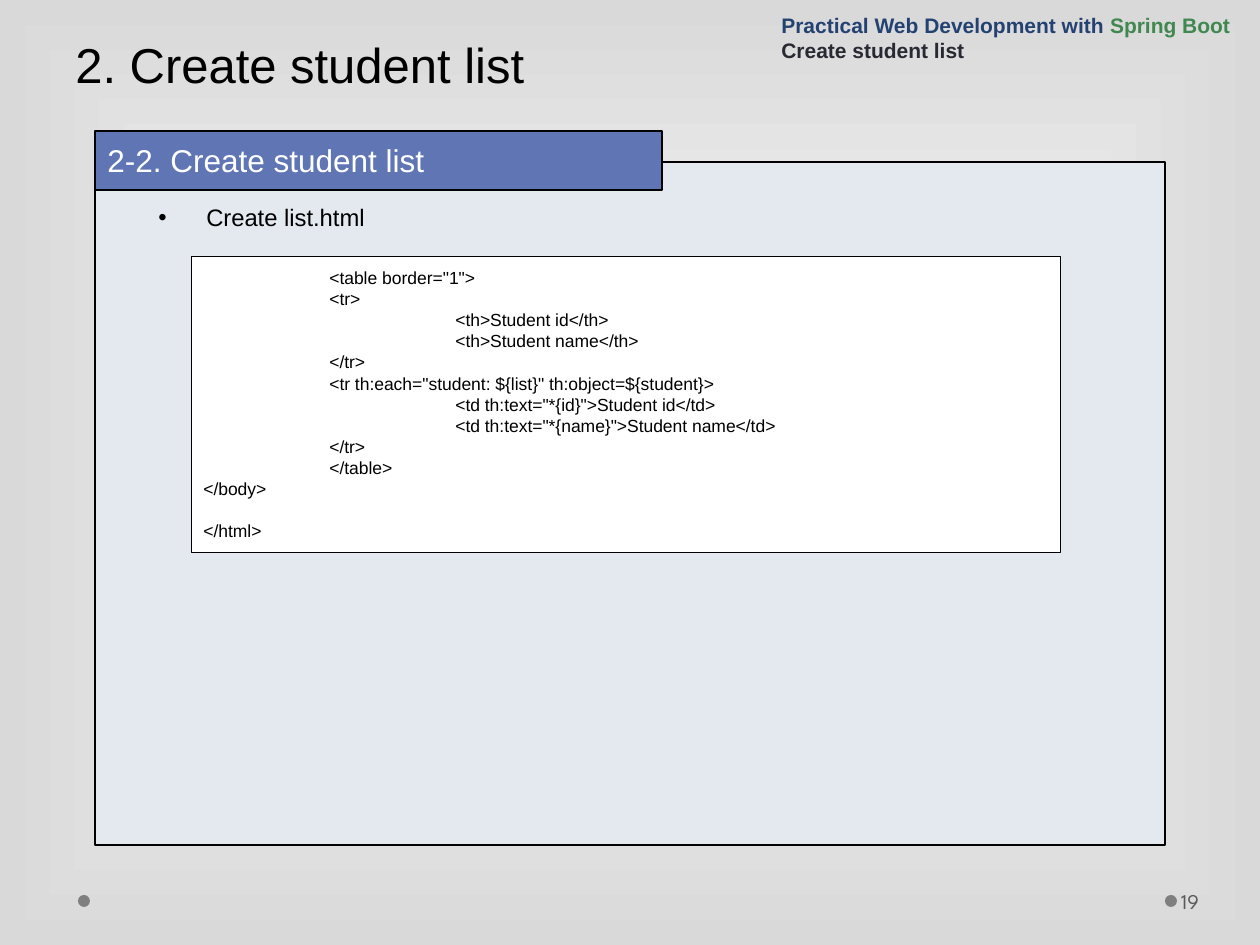
import lxml.etree
import pptx
import pptx.dml.color
import pptx.enum.shapes
import pptx.enum.text
import pptx.oxml.ns
import pptx.util

SCALE = 914400 / 126  # EMU per px
ANCHOR = pptx.enum.text.MSO_ANCHOR
SHAPE = pptx.enum.shapes.MSO_SHAPE
qn = pptx.oxml.ns.qn
rgb = pptx.dml.color.RGBColor.from_string
Pt = pptx.util.Pt

presentation = pptx.Presentation()
presentation.slide_width = round(1260 * SCALE)
presentation.slide_height = round(945 * SCALE)
slide = presentation.slides.add_slide(presentation.slide_layouts[6])


def add_box(box, fill=None, line_width=None, kind=SHAPE.RECTANGLE):
    """Add a shape, or a text box when there is no fill; box is left, top, width, height in px."""
    place = [round(length * SCALE) for length in box]
    if fill is None:
        shape = slide.shapes.add_textbox(*place)
    else:
        shape = slide.shapes.add_shape(kind, *place)
        shape.shadow.inherit = False
        shape.fill.solid()
        shape.fill.fore_color.rgb = rgb(fill)
        if line_width is None:
            shape.line.fill.background()
        else:
            shape.line.color.rgb = rgb("000000")
            shape.line.width = Pt(line_width)
    shape.text_frame.word_wrap = True
    return shape


def write(shape, text, size, color="000000", anchor=ANCHOR.TOP, font="Arial", bold=False):
    """Fill a shape with left-aligned text, one paragraph per line, and return the paragraphs."""
    frame = shape.text_frame
    frame.text = text
    frame.vertical_anchor = anchor
    for paragraph in frame.paragraphs:
        paragraph.alignment = pptx.enum.text.PP_ALIGN.LEFT
        for run in paragraph.runs:
            run.font.name = font
            run.font.size = Pt(size)
            run.font.bold = bold
            run.font.color.rgb = rgb(color)
    return frame.paragraphs


# Background: gradient spreading from the centre
background = slide.background.fill
background.gradient()
for stop, position, color in zip(background.gradient_stops, (0, 1), ("FFFFFF", "D9D9D9")):
    stop.position = position
    stop.color.rgb = rgb(color)
gradient = next(slide.element.iter(qn("a:gradFill")))
gradient.remove(gradient.find(qn("a:lin")))
spread = lxml.etree.SubElement(gradient, qn("a:path"), path="rect")
lxml.etree.SubElement(spread, qn("a:fillToRect"), l="50000", t="50000", r="50000", b="50000")

# Footer dots and page number
for left in (1165, 78):
    add_box((left, 895, 12, 12), "7F7F7F", kind=SHAPE.OVAL)
page_number = add_box((1177, 876, 77, 50))
page_number.text_frame.margin_left = round(4 * SCALE)
write(page_number, "19", 12, "595959", ANCHOR.MIDDLE, "League Spartan")

# Content panel
add_box((95, 162, 1070, 683), "E4E9EF", 0.75)

# Title
title = write(add_box((63, 0, 1134, 100)), "2. Create student list", 28, anchor=ANCHOR.BOTTOM)[0]
title.line_spacing = Pt(58)

# Section heading
section = write(add_box((95, 131, 567, 59), "6076B4", 0.75), "2-2. Create student list", 18, "FFFFFF")[0]
section.line_spacing = 1.1
section.space_before = Pt(4.5)

# Bullet
bullet = write(add_box((146, 200, 931, 44)), "Create list.html", 13.6)[0]
bullet.line_spacing = 0.9
bullet.space_before = Pt(4)
properties = bullet._p.get_or_add_pPr()
indent = round(48 * SCALE)
properties.set("marL", str(indent))
properties.set("indent", str(-indent))
bullet_color = lxml.etree.SubElement(properties, qn("a:buClr"))
lxml.etree.SubElement(bullet_color, qn("a:srgbClr"), val="000000")
lxml.etree.SubElement(properties, qn("a:buFont"), typeface="Arial")
lxml.etree.SubElement(properties, qn("a:buChar"), char="•")

# Course header
header = write(
    add_box((769, 0, 491, 69)),
    "Practical Web Development with \nCreate student list",
    12, "292934", ANCHOR.BOTTOM, bold=True,
)
header[0].runs[0].font.color.rgb = rgb("234271")
framework = header[0].add_run()
framework.text = "Spring Boot"
framework.font.name = "Arial"
framework.font.size = Pt(12)
framework.font.bold = True
framework.font.color.rgb = rgb("40884F")

# Code listing: indent level and text of each line
code_lines = [
    (1, '<table border="1">'),
    (1, "<tr>"),
    (2, "<th>Student id</th>"),
    (2, "<th>Student name</th>"),
    (1, "</tr>"),
    (1, '<tr th:each="student: ${list}" th:object=${student}>'),
    (2, '<td th:text="*{id}">Student id</td>'),
    (2, '<td th:text="*{name}">Student name</td>'),
    (1, "</tr>"),
    (1, "</table>"),
    (0, "</body>"),
    (0, "</html>"),
]
code = "\n".join("\t" * level + line for level, line in code_lines)
code_box = add_box((191, 256, 869, 296), "FFFFFF", 0.25)
code_paragraphs = write(code_box, code, 10, anchor=ANCHOR.MIDDLE)
code_paragraphs[-1].space_before = Pt(12)
for paragraph in code_paragraphs:
    tab_stops = lxml.etree.SubElement(paragraph._p.get_or_add_pPr(), qn("a:tabLst"))
    for level in (1, 2):
        lxml.etree.SubElement(tab_stops, qn("a:tab"), pos=str(round(level * 126 * SCALE)), algn="l")

presentation.save("out.pptx")
